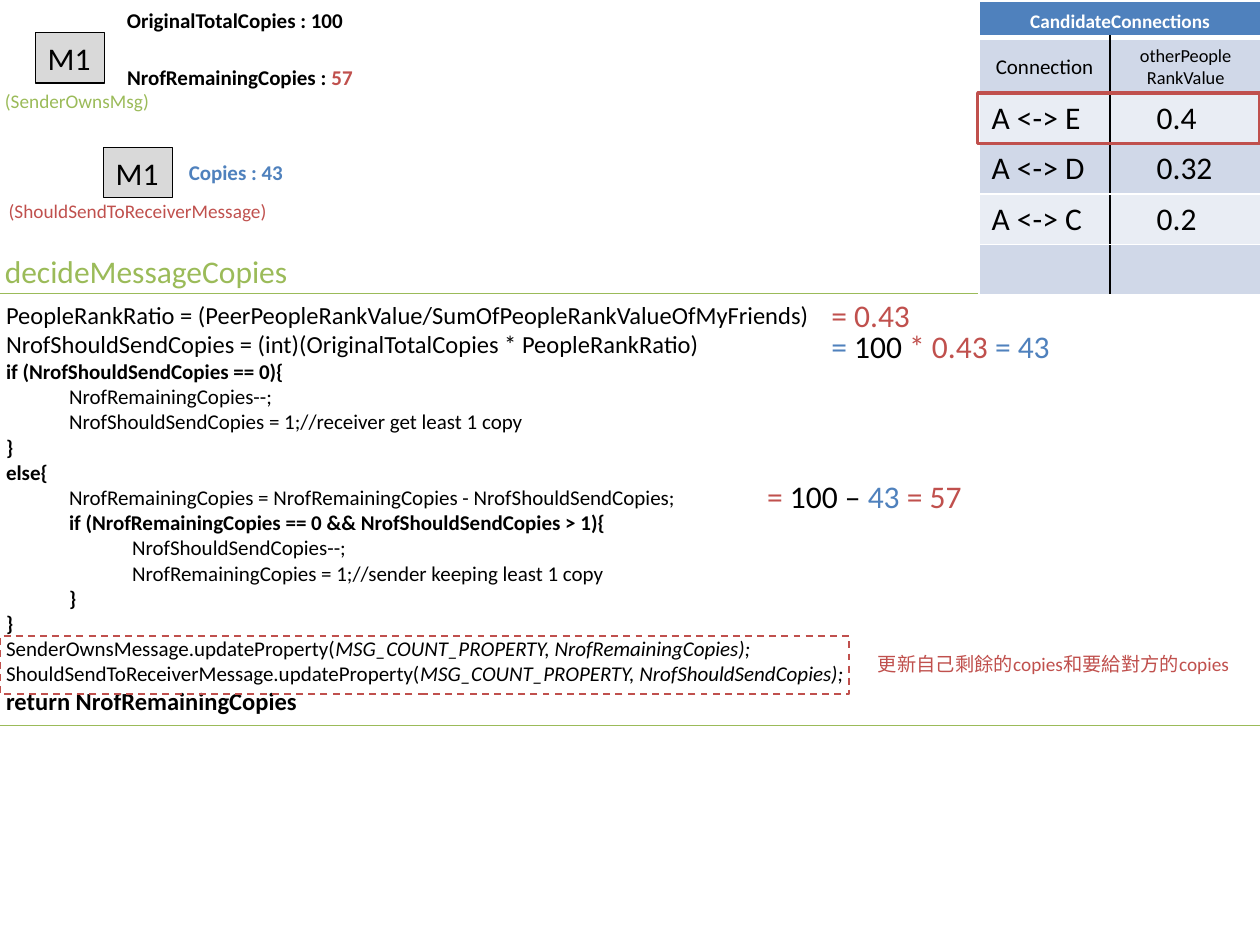
from lxml import etree
from pptx import Presentation
from pptx.dml.color import RGBColor
from pptx.enum import dml, shapes, text
from pptx.oxml import ns
from pptx.util import Inches, Pt

BLACK, WHITE, RED, BLUE, GREEN = "000000", "FFFFFF", "C0504D", "4F81BD", "9BBB59"
DARK, PALE, GREY = "D0D8E8", "E9EDF4", "D9D9D9"
rgb = RGBColor.from_string

deck = Presentation()
deck.slide_width, deck.slide_height = Inches(10), Inches(7.5)
slide = deck.slides.add_slide(deck.slide_layouts[6])


def write(frame, lines, align=text.PP_ALIGN.LEFT):
    """Each line is a list of runs: (words, size, colour, style letters)."""
    for i, line in enumerate(lines):
        para = frame.paragraphs[0] if i == 0 else frame.add_paragraph()
        para.alignment = align
        for words, size, color, style in line:
            run = para.add_run()
            run.text = words
            font = run.font
            font.name, font.size, font.color.rgb = "Calibri", Pt(size), rgb(color)
            font.bold, font.italic = "b" in style, "i" in style


def box(at, lines=(), fill=None, line=None, width=0.75, wrap=False):
    spot = [Inches(n) for n in at]
    if fill or line:
        item = slide.shapes.add_shape(shapes.MSO_SHAPE.RECTANGLE, *spot)
        item.shadow.inherit = False
        item.fill.background()
        if fill:
            item.fill.solid()
            item.fill.fore_color.rgb = rgb(fill)
        item.line.color.rgb = rgb(line)
        item.line.width = Pt(width)
    else:
        item = slide.shapes.add_textbox(*spot)
    if lines:
        frame = item.text_frame
        frame.word_wrap = wrap
        frame.auto_size = text.MSO_AUTO_SIZE.SHAPE_TO_FIT_TEXT
        frame.vertical_anchor = text.MSO_ANCHOR.TOP
        write(frame, lines)
    return item


# Heading and pseudocode
box((-0.06, 1.95, 2.47, 0.4), [[("decideMessageCopies", 18, GREEN, "")]])
code = [
    [("PeopleRankRatio = (PeerPeopleRankValue/SumOfPeopleRankValueOfMyFriends)", 14, "")],
    [("NrofShouldSendCopies = (int)(OriginalTotalCopies * PeopleRankRatio)", 14, "")],
    [("if (NrofShouldSendCopies == 0){", 12, "b")],
    [("\tNrofRemainingCopies--;", 12, "")],
    [("\tNrofShouldSendCopies = 1;//receiver get least 1 copy", 12, "")],
    [("}", 12, "b")],
    [("else{", 12, "b")],
    [("\tNrofRemainingCopies = NrofRemainingCopies - NrofShouldSendCopies;", 12, "")],
    [("\tif (NrofRemainingCopies == 0 && NrofShouldSendCopies > 1){", 12, "b")],
    [("\t\tNrofShouldSendCopies--;", 12, "")],
    [("\t\tNrofRemainingCopies = 1;//sender keeping least 1 copy", 12, "")],
    [("\t}", 12, "b")],
    [("}", 12, "b")],
    [("SenderOwnsMessage.updateProperty(", 12, ""),
     ("MSG_COUNT_PROPERTY, NrofRemainingCopies);", 12, "i")],
    [("ShouldSendToReceiverMessage.updateProperty(", 12, ""),
     ("MSG_COUNT_PROPERTY, NrofShouldSendCopies);", 12, "i")],
    [("return NrofRemainingCopies", 14, "b")],
]
box((-0.05, 2.33, 10.16, 3.43),
    [[(words, size, BLACK, style) for words, size, style in line] for line in code],
    line=GREEN, wrap=True)

# Table of candidate connections
rows = [
    (0.29, BLUE, ["CandidateConnections"], []),
    (0.44, DARK, ["Connection"], ["otherPeople", "RankValue"]),
    (0.4, PALE, ["A <-> E"], ["0.4"]),
    (0.4, DARK, ["A <-> D"], ["0.32"]),
    (0.4, PALE, ["A <-> C"], ["0.2"]),
    (0.4, DARK, [], []),
]
table = slide.shapes.add_table(
    len(rows), 2, Inches(7.77), Inches(0.01), Inches(2.24), Inches(2.33)).table
for col, wide in zip(table.columns, (1.04, 1.2)):
    col.width = Inches(wide)
table.cell(0, 0).merge(table.cell(0, 1))
for r, (high, fill, *pair) in enumerate(rows):
    table.rows[r].height = Inches(high)
    for c, words in enumerate(pair):
        cell = table.cell(r, c)
        props = cell._tc.get_or_add_tcPr()
        for side in "LRTB":
            mid = r > 0 and side == "RL"[c]
            thick = 3 if r == 0 and side == "B" else 1
            edge = etree.SubElement(props, ns.qn("a:ln" + side), w=str(Pt(thick)))
            paint = etree.SubElement(edge, ns.qn("a:solidFill"))
            etree.SubElement(paint, ns.qn("a:srgbClr"), val=BLACK if mid else WHITE)
        cell.fill.solid()
        cell.fill.fore_color.rgb = rgb(fill)
        cell.margin_bottom = Inches(0.02)
        if r < 2:
            cell.vertical_anchor = text.MSO_ANCHOR.MIDDLE
            size = 11 if r == 0 else (12, 10.5)[c]
            look = (size, WHITE, "b") if r == 0 else (size, BLACK, "")
            write(cell.text_frame, [[(word, *look)] for word in words],
                  text.PP_ALIGN.CENTER)
        else:
            cell.margin_left = Inches((0.1, 0.37)[c])
            write(cell.text_frame, [[(word, 18, BLACK, "")] for word in words])

# Messages
for left, top in ((0.28, 0.26), (0.82, 1.17)):
    box((left, top, 0.55, 0.4), [[("M1", 18, BLACK, "")]], fill=GREY, line=BLACK)

# Frames around the update calls and the chosen row
calls = box((0, 5.05, 6.74, 0.46), line=RED, width=1)
calls.line.dash_style = dml.MSO_LINE.DASH
box((7.76, 0.74, 2.24, 0.4), line=RED, width=2)

# Labels and worked values
labels = [
    ((0.91, 0.01, 1.94, 0.3), [("OriginalTotalCopies : 100", 12, BLACK, "b")]),
    ((0.91, 0.46, 2.02, 0.3), [("NrofRemainingCopies : ", 12, BLACK, "b"),
                               ("57", 12, RED, "b")]),
    ((-0.06, 0.66, 1.35, 0.29), [("(SenderOwnsMsg)", 11, GREEN, "")]),
    ((-0.03, 1.53, 2.28, 0.29), [("(ShouldSendToReceiverMessage)", 11, RED, "")]),
    ((1.4, 1.22, 0.96, 0.3), [("Copies : 43", 12, BLUE, "b")]),
    ((6.5, 2.3, 0.83, 0.4), [("= 0.43", 18, RED, "")]),
    ((6.5, 2.55, 1.96, 0.4), [("= ", 18, BLUE, ""), ("100", 18, BLACK, ""),
                              (" * 0.43 ", 18, RED, ""), ("= 43", 18, BLUE, "")]),
    ((5.99, 3.74, 1.77, 0.4), [("= ", 18, RED, ""), ("100 – ", 18, BLACK, ""),
                               ("43 ", 18, BLUE, ""), ("= 57", 18, RED, "")]),
]
for at, runs in labels:
    box(at, [runs])
box((6.87, 5.13, 3.13, 0.29), [[("更新自己剩餘的copies和要給對方的copies", 11, RED, "")]],
    wrap=True)

deck.save("out.pptx")
